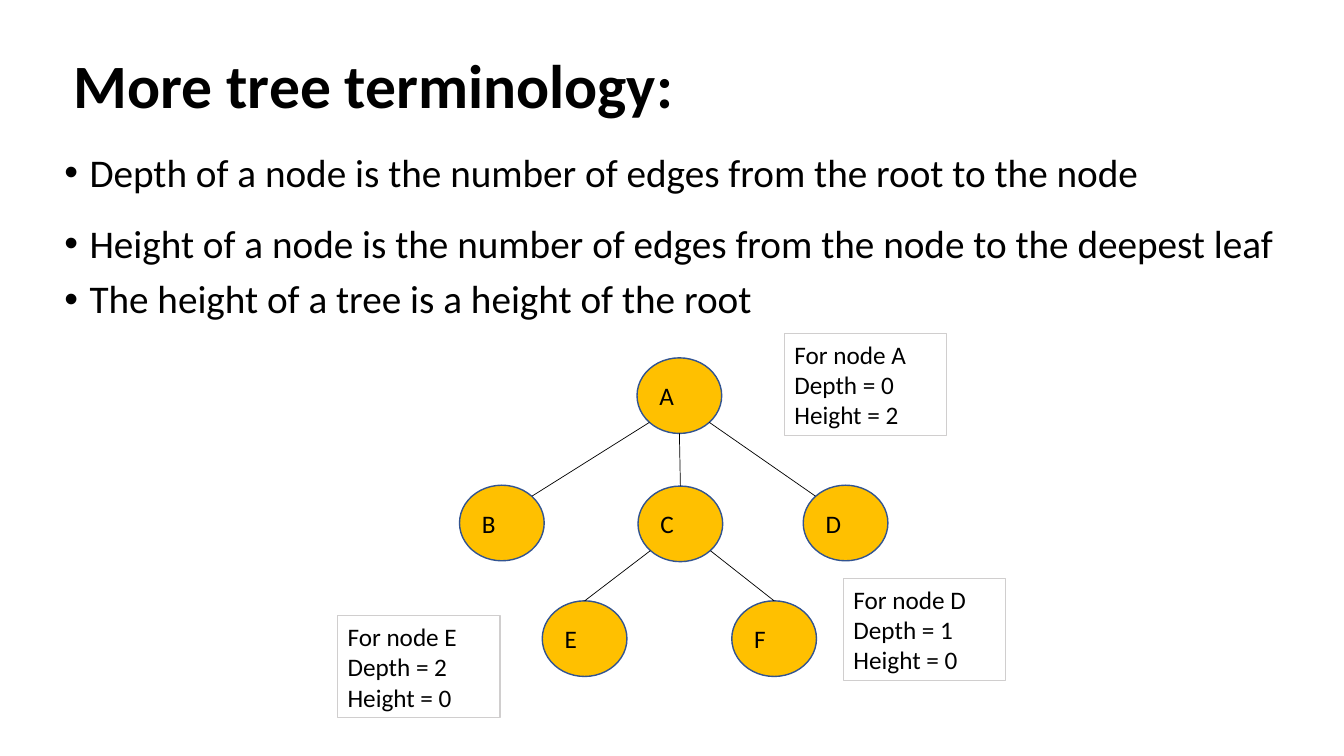
from lxml import etree
from pptx import Presentation
from pptx.dml.color import RGBColor
from pptx.enum.shapes import MSO_CONNECTOR, MSO_SHAPE
from pptx.enum.text import MSO_ANCHOR, PP_ALIGN
from pptx.oxml.ns import qn
from pptx.util import Pt

LINE = MSO_CONNECTOR.STRAIGHT
OVAL = MSO_SHAPE.OVAL
RECT = MSO_SHAPE.RECTANGLE
MIDDLE = MSO_ANCHOR.MIDDLE
LEFT = PP_ALIGN.LEFT
BLACK = RGBColor(0, 0, 0)
GOLD = RGBColor(0xFF, 0xC0, 0x00)
BLUE = RGBColor(0x32, 0x54, 0x91)
GREY = RGBColor(0xD0, 0xCE, 0xCE)
WIDE, HIGH = 60.5, 54
DIAG = 0.71

deck = Presentation()
deck.slide_width, deck.slide_height = Pt(960), Pt(540)
slide = deck.slides.add_slide(deck.slide_layouts[6])
shapes = slide.shapes


def style(par, size, bold=False):
    par.font.name = "Calibri"
    par.font.size = Pt(size)
    par.font.bold = bold
    par.font.color.rgb = BLACK


def site(name, side, way):
    x, y = nodes[name]
    drop = DIAG if side else 1
    return Pt(x + side * DIAG * WIDE / 2), Pt(y + way * drop * HIGH / 2)


title = shapes.add_textbox(Pt(45.4), Pt(29.5), Pt(828), Pt(67)).text_frame
title.word_wrap = True
title.vertical_anchor = MIDDLE
title.text = "More tree terminology:"
title.paragraphs[0].line_spacing = 0.9
style(title.paragraphs[0], 44, True)

terms = [
    ("Depth of a node is the number of edges from the root to the node", 1.2),
    ("Height of a node is the number of edges from the node to the deepest leaf", 1.2),
    ("The height of a tree is a height of the root", 0.9),
]
body = shapes.add_textbox(Pt(38.9), Pt(95.8), Pt(909.4), Pt(140)).text_frame
body.word_wrap = True
body.text = "\n".join(text for text, space in terms)
for par, (text, space) in zip(body.paragraphs, terms):
    style(par, 28)
    par.line_spacing = space
    par.space_before = Pt(10)
    props = par._p.get_or_add_pPr()
    props.set("marL", str(Pt(18)))
    props.set("indent", str(-Pt(18)))
    face = etree.Element(qn("a:buFont"), typeface="Arial")
    mark = etree.Element(qn("a:buChar"), char="•")
    rest = props.find(qn("a:defRPr"))
    rest.addprevious(face)
    rest.addprevious(mark)

nodes = {
    "A": (485.3, 282.6),
    "B": (358.5, 373.6),
    "C": (486, 374.2),
    "D": (604, 373.6),
    "E": (417.6, 456.2),
    "F": (553, 456.2),
}
for name, (x, y) in nodes.items():
    oval = shapes.add_shape(OVAL, Pt(x - WIDE / 2), Pt(y - HIGH / 2), Pt(WIDE), Pt(HIGH))
    oval.shadow.inherit = False
    oval.fill.solid()
    oval.fill.fore_color.rgb = GOLD
    oval.line.color.rgb = BLUE
    oval.line.width = Pt(1)
    oval.text_frame.text = name
    style(oval.text_frame.paragraphs[0], 18)

edges = [
    ("A", -1, "B", 1),
    ("A", 0, "C", 0),
    ("A", 1, "D", -1),
    ("C", -1, "E", 0),
    ("C", 1, "F", 0),
]
for top, out, low, into in edges:
    edge = shapes.add_connector(LINE, *site(top, out, 1), *site(low, into, -1))
    edge.line.color.rgb = BLACK
    edge.line.width = Pt(0.5)
    etree.SubElement(edge._element.spPr, qn("a:effectLst"))

notes = [
    ("A", 0, 2, 560.4, 238.3),
    ("E", 2, 0, 241.2, 440),
    ("D", 1, 0, 602.6, 413.3),
]
for name, depth, height, x, y in notes:
    note = shapes.add_shape(RECT, Pt(x), Pt(y), Pt(116), Pt(72.8))
    note.shadow.inherit = False
    note.fill.background()
    note.line.color.rgb = GREY
    note.line.width = Pt(0.75)
    frame = note.text_frame
    frame.vertical_anchor = MIDDLE
    frame.text = f"For node {name}\nDepth = {depth}\nHeight = {height}"
    for par in frame.paragraphs:
        style(par, 18)
        par.alignment = LEFT

deck.save("out.pptx")
